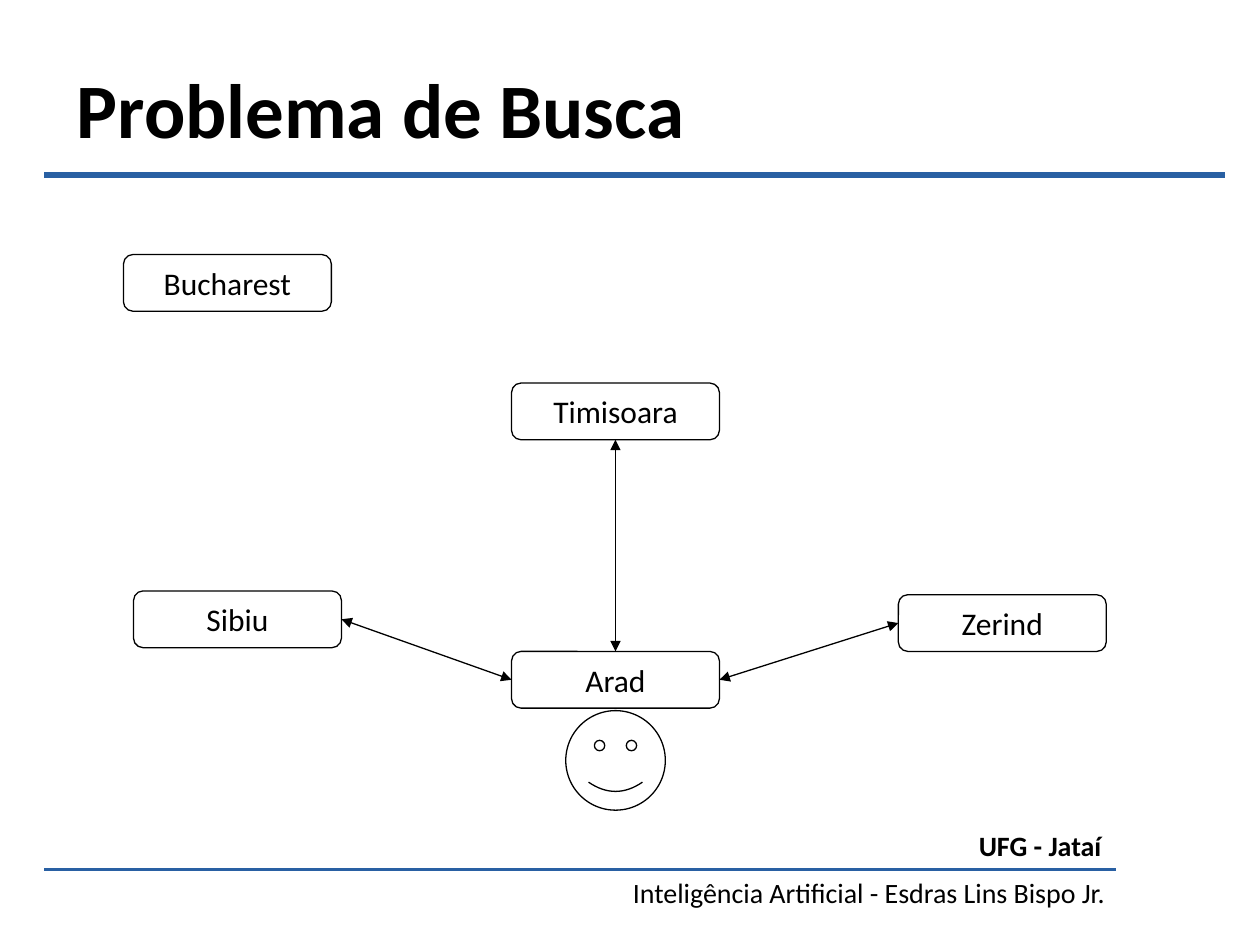
import pptx
import pptx.util
import pptx.dml.color
import pptx.enum.shapes
import pptx.enum.text
import pptx.oxml.ns
import lxml.etree

Inches = pptx.util.Inches
RGBColor = pptx.dml.color.RGBColor
Shape = pptx.enum.shapes.MSO_SHAPE
Align = pptx.enum.text.PP_ALIGN

BLACK = RGBColor(0x00, 0x00, 0x00)
BLUE = RGBColor(0x29, 0x60, 0xA3)
TOP, LEFT, BOTTOM, RIGHT = range(4)  # connection sites of a box


def write(shape, text, size=18, bold=False, align=Align.LEFT, wrap=True):
    frame = shape.text_frame
    frame.word_wrap = wrap
    frame.auto_size = pptx.enum.text.MSO_AUTO_SIZE.SHAPE_TO_FIT_TEXT
    para = frame.paragraphs[0]
    para.alignment = align
    span = para.add_run()
    span.text = text
    span.font.name = "Calibri"
    span.font.size = pptx.util.Pt(size)
    span.font.bold = bold
    span.font.color.rgb = BLACK


class Diagram:
    """Holds the outline style and the current page."""

    outline = pptx.util.Pt(0.75)
    city_size = Inches(1.65), Inches(0.45)

    def __init__(self, page):
        self.page = page

    def shape(self, kind, left, top, width, height):
        shape = self.page.shapes.add_shape(kind, left, top, width, height)
        shape.shadow.inherit = False
        shape.fill.background()
        shape.line.color.rgb = BLACK
        shape.line.width = self.outline
        return shape

    def city(self, name, left, top):
        box = self.shape(Shape.ROUNDED_RECTANGLE, Inches(left), Inches(top),
                         *self.city_size)
        write(box, name, align=Align.CENTER)
        return box

    def line(self, start, end, color=BLACK, width=outline):
        line = self.page.shapes.add_connector(
            pptx.enum.shapes.MSO_CONNECTOR.STRAIGHT, *start, *end)
        line.line.color.rgb = color
        line.line.width = width
        lxml.etree.SubElement(line._element.spPr,
                              pptx.oxml.ns.qn("a:effectLst"))
        return line

    def rule(self, left, right, top, width):
        self.line((Inches(left), Inches(top)), (Inches(right), Inches(top)),
                  BLUE, pptx.util.Pt(width))

    def road(self, start, start_site, end, end_site):
        road = self.line((0, 0), (0, 0))
        road.begin_connect(start, start_site)
        road.end_connect(end, end_site)
        outline = road.line._get_or_add_ln()
        for tag in ("a:headEnd", "a:tailEnd"):
            lxml.etree.SubElement(outline, pptx.oxml.ns.qn(tag),
                                  type="triangle")

    def label(self, text, left, top, width, height, **style):
        box = self.page.shapes.add_textbox(
            Inches(left), Inches(top), Inches(width), Inches(height))
        write(box, text, wrap=False, **style)


deck = pptx.Presentation()
deck.slide_width, deck.slide_height = Inches(10), Inches(7.5)
diagram = Diagram(deck.slides.add_slide(deck.slide_layouts[6]))

# Title and rule
diagram.label("Problema de Busca", 0.51, 0.44, 5.07, 0.84, size=44, bold=True)
diagram.rule(0.35, 9.72, 1.39, 3)

# Agent at the current city
diagram.shape(Shape.SMILEY_FACE, Inches(4.49), Inches(5.64),
              Inches(0.79), Inches(0.79))

# Cities
diagram.city("Bucharest", 0.98, 2.02)
arad = diagram.city("Arad", 4.06, 5.17)
sibiu = diagram.city("Sibiu", 1.06, 4.69)
timisoara = diagram.city("Timisoara", 4.06, 3.04)
zerind = diagram.city("Zerind", 7.13, 4.72)

# Roads from Arad
diagram.road(arad, LEFT, sibiu, RIGHT)
diagram.road(arad, TOP, timisoara, BOTTOM)
diagram.road(arad, RIGHT, zerind, LEFT)

# Footer
diagram.rule(0.35, 8.86, 6.9, 1.5)
diagram.label("UFG - Jataí", 7.65, 6.53, 1.19, 0.37,
              size=16, bold=True, align=Align.RIGHT)
diagram.label("Inteligência Artificial - Esdras Lins Bispo Jr.",
              4.88, 6.9, 3.99, 0.37, size=16, align=Align.RIGHT)

deck.save("out.pptx")
